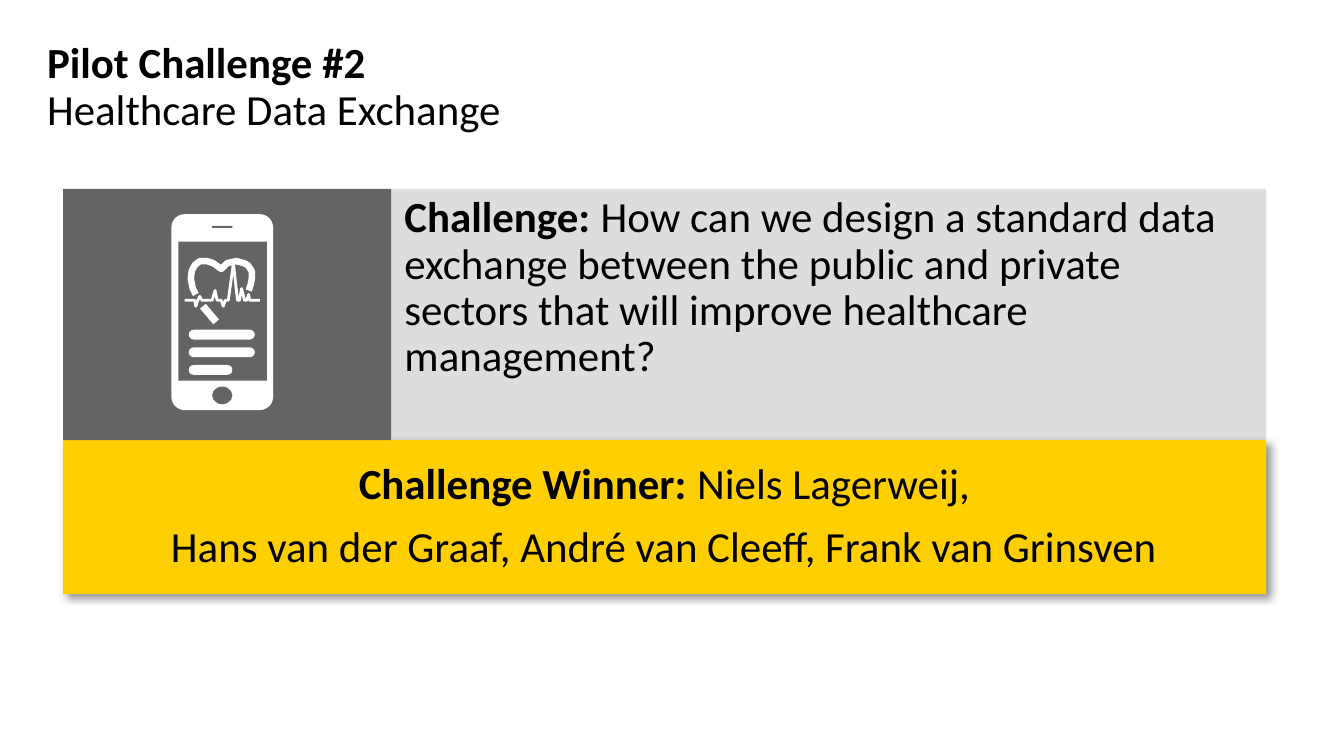
from dataclasses import dataclass

from lxml import etree
from pptx import Presentation
from pptx.dml.color import RGBColor
from pptx.enum.shapes import MSO_CONNECTOR, MSO_SHAPE
from pptx.enum.text import MSO_ANCHOR, MSO_AUTO_SIZE, PP_ALIGN
from pptx.oxml import parse_xml
from pptx.oxml.ns import qn
from pptx.util import Inches, Pt

RECT, ROUND, OVAL = MSO_SHAPE.RECTANGLE, MSO_SHAPE.ROUNDED_RECTANGLE, MSO_SHAPE.OVAL
TOP, MIDDLE = MSO_ANCHOR.TOP, MSO_ANCHOR.MIDDLE
LEFT, CENTER = PP_ALIGN.LEFT, PP_ALIGN.CENTER
STRAIGHT = MSO_CONNECTOR.STRAIGHT
FIXED = MSO_AUTO_SIZE.NONE


@dataclass(frozen=True)
class Theme:
    """Colours and type sizes of the slide."""
    font: str = "Calibri"
    size: int = 23
    lead: float = 0.9
    gap: int = 9
    ink: RGBColor = RGBColor(0, 0, 0)
    pale: RGBColor = RGBColor(0xDD, 0xDD, 0xDD)
    gold: RGBColor = RGBColor(0xFF, 0xCF, 0x01)
    slate: RGBColor = RGBColor(0x63, 0x64, 0x66)
    white: RGBColor = RGBColor(0xFF, 0xFF, 0xFF)


THEME = Theme()
HEART = [(24, 41), (21, 38), (19, 33), (20, 29), (23, 26), (28, 24), (35, 24),
         (41, 25), (49, 28), (55, 25), (64, 24), (71, 25), (75, 26), (79, 29),
         (79, 33), (78, 36), (76, 39)]
PULSE = [(13, 44), (23, 44), (24, 47), (26, 44), (28, 42), (30, 44), (40, 44),
         (43, 39), (45, 44), (49, 44), (51, 47), (53, 44), (56, 44), (61, 25),
         (65, 44), (67, 44), (69, 38), (72, 44), (74, 44), (76, 41), (77, 44),
         (87, 44)]
SHADOW = (
    '<a:outerShdw xmlns:a="http://schemas.openxmlformats.org/drawingml/2006/main"'
    ' blurRad="50800" dist="38100" dir="2700000" algn="tl" rotWithShape="0">'
    '<a:srgbClr val="000000"><a:alpha val="40000"/></a:srgbClr></a:outerShdw>')


def part(box, x, y, w, h):
    """Return the box that takes the given shares of another box."""
    left, top, wide, high = box
    return (int(left + x * wide), int(top + y * high), int(w * wide), int(h * high))


def spot(box, x, y):
    """Return the point at the given percentages of a box."""
    return part(box, x / 100, y / 100, 0, 0)[:2]


def block(slide, box, fill, kind=RECT):
    """Add a plain filled shape."""
    shape = slide.shapes.add_shape(kind, *box)
    shape.shadow.inherit = False
    shape.fill.solid()
    shape.fill.fore_color.rgb = fill
    shape.line.fill.background()
    return shape


def write(shape, lines, anchor=TOP, align=LEFT, inset=(0, 0)):
    """Write paragraphs made of (text, bold) runs."""
    frame = shape.text_frame
    frame.word_wrap = True
    frame.auto_size = FIXED
    frame.vertical_anchor = anchor
    frame.margin_left = frame.margin_right = Inches(inset[0])
    frame.margin_top = frame.margin_bottom = Inches(inset[1])
    for i, runs in enumerate(lines):
        para = frame.add_paragraph() if i else frame.paragraphs[0]
        para.alignment = align
        para.line_spacing = THEME.lead
        para.space_before = Pt(THEME.gap if len(lines) > 1 else 0)
        para.font.name, para.font.size = THEME.font, Pt(THEME.size)
        para.font.color.rgb = THEME.ink
        for text, bold in runs:
            if text == "\n":
                para.add_line_break()
            else:
                run = para.add_run()
                run.text, run.font.bold = text, bold


def stroke(slide, box, points, width):
    """Draw an open white outline through percentage points."""
    first, *rest = [spot(box, *point) for point in points]
    path = slide.shapes.build_freeform(*first)
    path.add_line_segments(rest, close=False)
    shape = path.convert_to_shape()
    shape.shadow.inherit = False
    shape.fill.background()
    shape.line.color.rgb = THEME.white
    shape.line.width = Pt(width)


def phone(slide, box):
    """Draw the health phone icon."""
    block(slide, box, THEME.white, ROUND).adjustments[0] = 0.13
    for kind, share in ((RECT, (0.07, 0.14, 0.87, 0.71)),
                        (OVAL, (0.4, 0.88, 0.2, 0.09)),
                        (ROUND, (0.4, 0.06, 0.2, 0.01))):
        block(slide, part(box, *share), THEME.slate, kind)
    stroke(slide, box, HEART, 3.5)
    stroke(slide, box, PULSE, 1.5)
    grip = slide.shapes.add_connector(STRAIGHT, *spot(box, 31, 47), *spot(box, 44, 55))
    grip.line.color.rgb = THEME.white
    grip.line.width = Pt(4)
    etree.SubElement(grip._element.spPr, qn("a:effectLst"))
    for i, width in enumerate((0.65, 0.65, 0.43)):
        bar = part(box, 0.17, 0.59 + i * 0.09, width, 0.05)
        block(slide, bar, THEME.white, ROUND).adjustments[0] = 0.5


def head(slide, box):
    """Fill the title placeholder."""
    title = slide.shapes.title
    title.left, title.top, title.width, title.height = box
    write(title, [[("Pilot Challenge #2", True), ("\n", False),
                   ("Healthcare Data Exchange", False)]])


def card(slide, box):
    """Place the icon tile, the challenge and the winner banner."""
    split, fold = 3 / 11, 0.62
    ask = block(slide, part(box, split, 0, 1 - split, fold), THEME.pale)
    write(ask, [[("Challenge:", True),
                 (" How can we design a standard data exchange between the public "
                  "and private sectors that will improve healthcare management?",
                  False)]], inset=(0.1, 0.05))
    win = block(slide, part(box, 0, fold, 1, 1 - fold), THEME.gold)
    win._element.spPr.find(qn("a:effectLst")).append(parse_xml(SHADOW))
    write(win, [[("Challenge Winner: ", True), ("Niels Lagerweij,", False)],
                [("Hans van der Graaf, André van Cleeff, Frank van Grinsven", False)]],
          MIDDLE, CENTER)
    tile = part(box, 0, 0, split, fold)
    block(slide, tile, THEME.slate)
    phone(slide, part(tile, 0.33, 0.1, 0.31, 0.78))


def main():
    """Build and save the slide."""
    deck = Presentation()
    deck.slide_width = Inches(10)
    deck.slide_height = deck.slide_width * 9 // 16
    slide = deck.slides.add_slide(deck.slide_layouts[5])
    page = (0, 0, deck.slide_width, deck.slide_height)
    head(slide, part(page, 0.035, 0.055, 0.55, 0.11))
    card(slide, part(page, 0.047, 0.25, 0.895, 0.536))
    deck.save("out.pptx")


if __name__ == "__main__":
    main()
